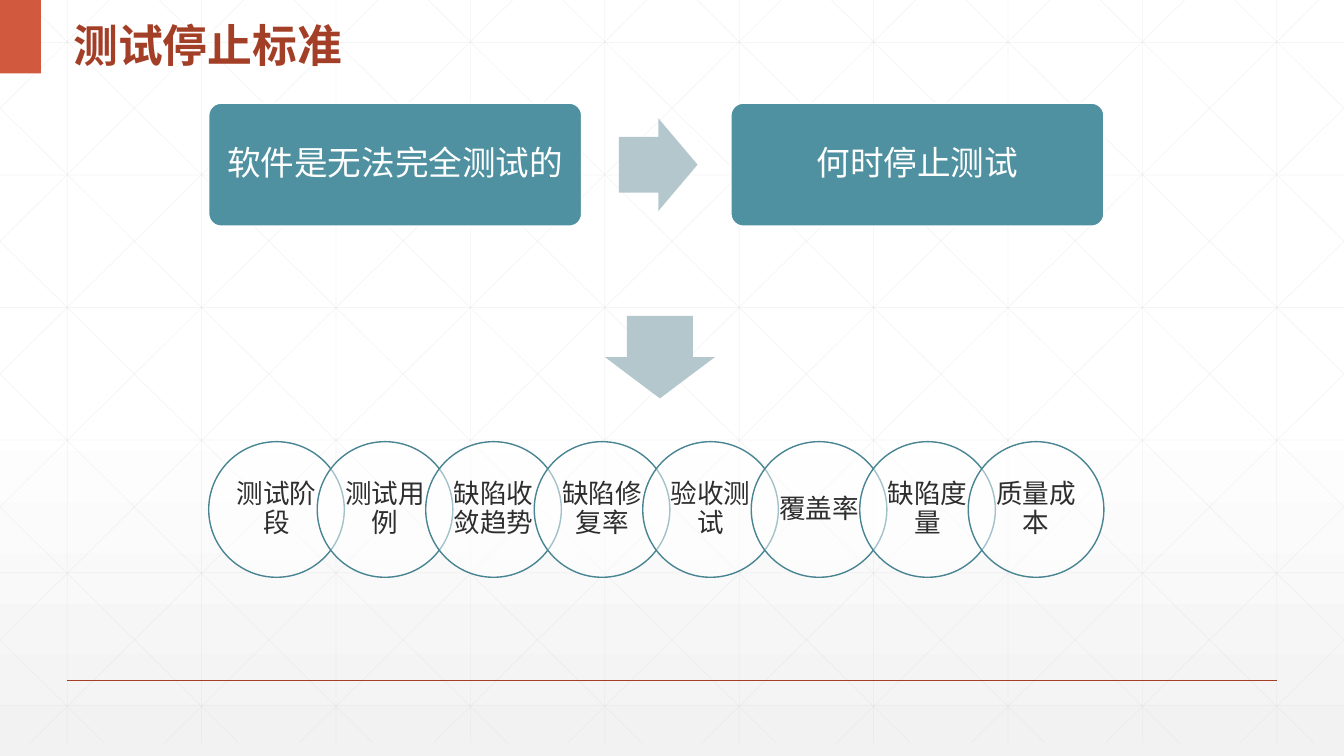
from copy import deepcopy

from lxml import etree
from pptx import Presentation
from pptx import util as u
from pptx.dml import color
from pptx.enum import shapes, text
from pptx.oxml import ns

WIDTH, HEIGHT = 33.87, 19.05
STEPS = ["软件是无法完全测试的", "何时停止测试"]
CRITERIA = ["测试阶段", "测试用例", "缺陷收敛趋势", "缺陷修复率",
            "验收测试", "覆盖率", "缺陷度量", "质量成本"]


def rgb(value):
    return color.RGBColor.from_string(value)


def fade(element, percent):
    tint = next(element.iter(ns.qn("a:srgbClr")))
    etree.SubElement(tint, ns.qn("a:alpha"), val=str(percent * 1000))


def add_line(page, start, end, tone, width):
    line = page.shapes.add_connector(
        shapes.MSO_CONNECTOR.STRAIGHT, *(u.Cm(v) for v in (*start, *end)))
    line.line.color.rgb = rgb(tone)
    line.line.width = u.Pt(width)
    etree.SubElement(line.element.spPr, ns.qn("a:effectLst"))
    return line


def add_shape(page, kind, box, fill, outline=None, adjustments=()):
    shape = page.shapes.add_shape(kind, *(u.Cm(v) for v in box))
    shape.shadow.inherit = False
    shape.fill.solid()
    shape.fill.fore_color.rgb = rgb(fill)
    if outline:
        shape.line.color.rgb = rgb(outline)
        shape.line.width = u.Pt(1)
    else:
        shape.line.fill.background()
    for index, value in enumerate(adjustments):
        shape.adjustments[index] = value
    return shape


def write(shape, words, size, tone, insets, spacing=0.9,
          align=text.PP_ALIGN.CENTER, bold=False):
    frame = shape.text_frame
    frame.word_wrap = True
    frame.vertical_anchor = text.MSO_ANCHOR.MIDDLE
    frame.margin_left = frame.margin_right = u.Cm(insets[0])
    frame.margin_top = frame.margin_bottom = u.Cm(insets[1])
    para = frame.paragraphs[0]
    para.alignment = align
    para.line_spacing = spacing
    span = para.add_run()
    span.text = words
    span.font.name = "Arial"
    span.font.size = u.Pt(size)
    span.font.bold = bold
    span.font.color.rgb = rgb(tone)


def paint_background(page):
    fill = page.background.fill
    fill.gradient()
    fill.gradient_angle = 270
    stop_list = next(page.element.iter(ns.qn("a:gsLst")))
    stop_list.append(deepcopy(stop_list[-1]))
    tones = [(0, "FFFFFF"), (0.53, "FFFFFF"), (1, "F2F2F2")]
    for stop, (position, tone) in zip(fill.gradient_stops, tones):
        stop.position = position
        stop.color.rgb = rgb(tone)


def draw_grid(page, width, height):
    column, row, run = width / 10, 3.34, 18.93
    lines = []
    for i in range(10):
        x = column * (i + 0.5)
        lines.append(((x, 0), (x, height)))
    for i in range(6):
        y = 1.07 + row * i
        lines.append(((0, y), (width, y)))
    for i in range(-5, 10):
        top = 0.63 + column * i
        left, right = max(0, top), min(width, top + run)
        ends = [(x, (x - top) / run * height) for x in (left, right)]
        lines.append(ends)
        lines.append([(width - x, y) for x, y in ends])
    for start, end in lines:
        fade(add_line(page, start, end, "D9D9D9", 0.5).element, 25)


def draw_header(page, left, top, width, height):
    add_shape(page, shapes.MSO_SHAPE.RECTANGLE, (left, top, 1.03, height), "D15A3E")
    title = page.shapes.add_textbox(
        u.Cm(left + 1.6), u.Cm(top), u.Cm(width - 1.6), u.Cm(height))
    write(title, "测试停止标准", 32, "A43F27", (0.25, 0.13), 1.3,
          text.PP_ALIGN.LEFT, True)


def draw_steps(page, left, top, width, height):
    card = 9.4
    for i, words in enumerate(STEPS):
        box = (left + i * (width - card), top, card, height)
        shape = add_shape(page, shapes.MSO_SHAPE.ROUNDED_RECTANGLE, box,
                          "4F91A1", "FFFFFF", [0.1])
        write(shape, words, 24, "FFFFFF", (0.25, 0.25))
    draw_arrow(page, left + width / 2 + 0.05, top + height / 2, 1.98, 2.34)


def draw_arrow(page, center_x, center_y, width, height, rotation=0):
    box = (center_x - width / 2, center_y - height / 2, width, height)
    arrow = add_shape(page, shapes.MSO_SHAPE.RIGHT_ARROW, box, "B3C7CD",
                      adjustments=[0.6, 0.5])
    arrow.rotation = rotation


def draw_criteria(page, left, top, width):
    overlap = 0.2
    step = 1 - overlap
    diameter = width / (1 + step * (len(CRITERIA) - 1))
    for i, words in enumerate(CRITERIA):
        box = (left + i * step * diameter, top, diameter, diameter)
        circle = add_shape(page, shapes.MSO_SHAPE.OVAL, box, "FFFFFF", "488492")
        fade(circle.element, 50)
        write(circle, words, 19, "2D2E2D", (0.18, 0.08))


def main():
    deck = Presentation()
    deck.slide_width, deck.slide_height = u.Cm(WIDTH), u.Cm(HEIGHT)
    page = deck.slides.add_slide(deck.slide_layouts[6])
    paint_background(page)
    draw_grid(page, WIDTH, 18.72)
    add_line(page, (1.69, 17.15), (WIDTH - 1.69, 17.15), "A43F27", 1)
    draw_header(page, 0, 0, 16.05, 1.85)
    draw_steps(page, 5.26, 2.6, 22.56, 3.1)
    draw_criteria(page, 5.26, 11.13, 22.56)
    draw_arrow(page, 16.63, 9, 2.08, 2.77, 90)
    deck.save("out.pptx")


if __name__ == "__main__":
    main()
